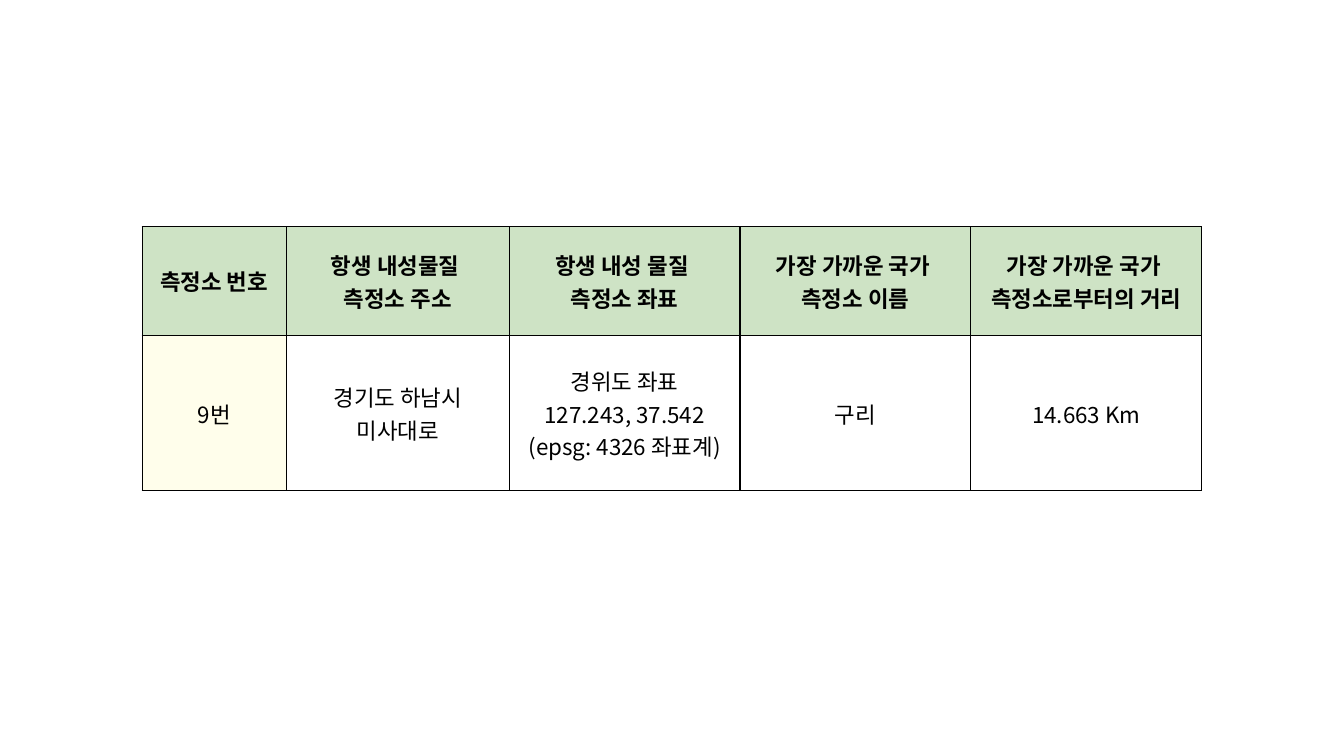
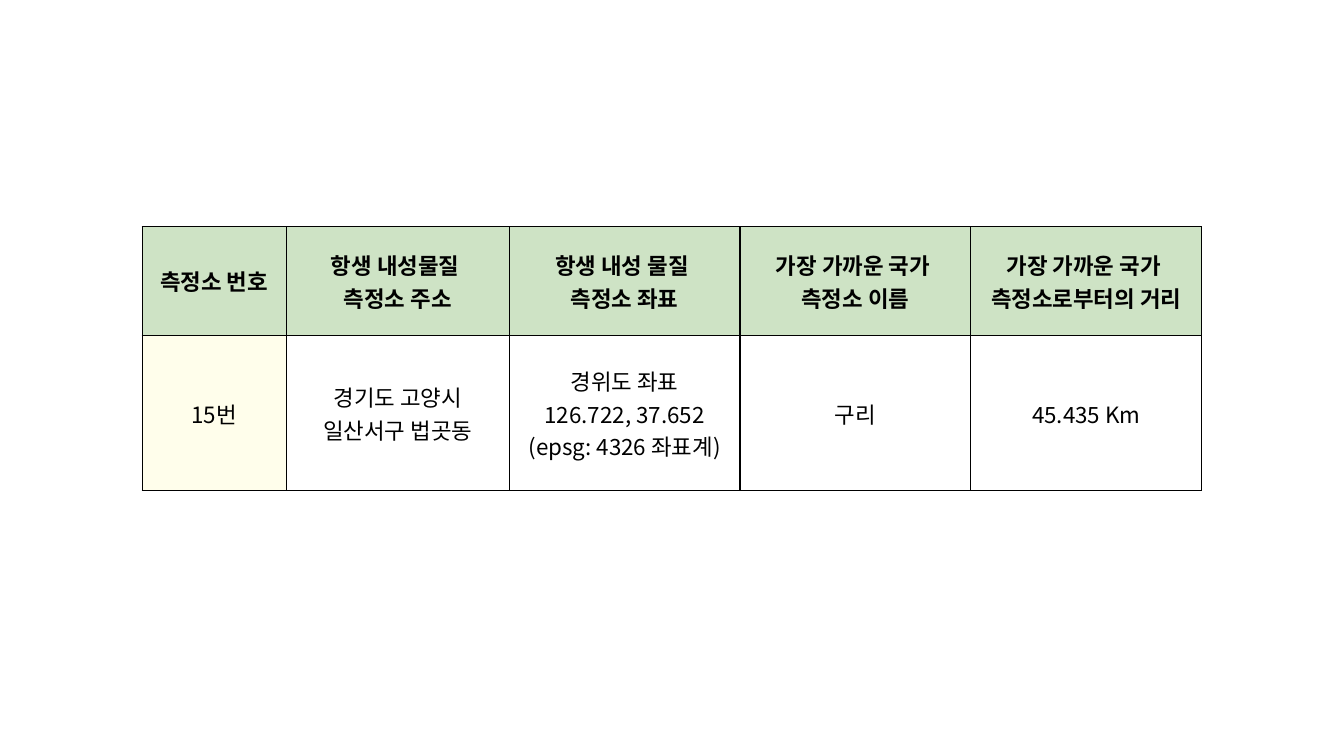
from dataclasses import dataclass

from lxml import etree
from pptx import Presentation
from pptx.dml.color import RGBColor
from pptx.enum.text import MSO_ANCHOR, PP_ALIGN
from pptx.oxml.ns import qn
from pptx.util import Inches, Pt

MIDDLE = MSO_ANCHOR.MIDDLE
CENTER = PP_ALIGN.CENTER
BLANK_LAYOUT = 6
BORDER_TAGS = ("a:lnL", "a:lnR", "a:lnT", "a:lnB")

TABLE_LEFT, TABLE_TOP = 1.41, 2.25
COLUMN_WIDTHS = (1.43, 2.21, 2.29, 2.29, 2.29)
ROW_HEIGHTS = (1.08, 1.54)

HEADINGS = (
    "측정소 번호",
    "항생 내성물질 \n측정소 주소",
    "항생 내성 물질 \n측정소 좌표",
    "가장 가까운 국가 \n측정소 이름",
    "가장 가까운 국가 \n측정소로부터의 거리",
)

# Number, address, coordinates, nearest national station, distance
STATIONS = (
    ("9번", "경기도 하남시 미사대로", "127.243, 37.542", "구리", "14.663 Km"),
    ("15번", "경기도 고양시 일산서구 법곳동", "126.722, 37.652", "구리", "45.435 Km"),
)


@dataclass(frozen=True)
class Theme:
    """Colours, font and sizes shared by the slides."""

    background: str = "FFFFFF"
    text: str = "000000"
    border: str = "000000"
    heading_fill: str = "CEE3C5"
    number_fill: str = "FFFEEB"
    font: str = "Noto Sans CJK KR"
    text_size: float = 16
    border_width: float = 1


class Deck:
    """Holds the theme, the presentation and the current slide."""

    def __init__(self, theme):
        """Start a widescreen presentation."""
        self.theme = theme
        self.presentation = Presentation()
        self.presentation.slide_width = Inches(13.33)
        self.presentation.slide_height = Inches(7.5)
        self.slide = None

    def add_slide(self):
        """Add a blank slide and make it current."""
        layout = self.presentation.slide_layouts[BLANK_LAYOUT]
        self.slide = self.presentation.slides.add_slide(layout)
        fill = self.slide.background.fill
        fill.solid()
        fill.fore_color.rgb = RGBColor.from_string(self.theme.background)

    def add_station_table(self, station):
        """Draw the heading row and the row of one station."""
        number, address, coordinates, nearest, distance = station
        position = f"경위도 좌표\n{coordinates} (epsg: 4326 좌표계)"
        rows = (HEADINGS, (number, address, position, nearest, distance))
        table = self.slide.shapes.add_table(
            len(rows), len(HEADINGS), Inches(TABLE_LEFT), Inches(TABLE_TOP),
            Inches(sum(COLUMN_WIDTHS)), Inches(sum(ROW_HEIGHTS)),
        ).table
        for column, width in zip(table.columns, COLUMN_WIDTHS):
            column.width = Inches(width)
        for row, height in zip(table.rows, ROW_HEIGHTS):
            row.height = Inches(height)
        for row_index, texts in enumerate(rows):
            is_heading = row_index == 0
            for column_index, text in enumerate(texts):
                cell = table.cell(row_index, column_index)
                self.write_cell(cell, text, is_heading)
                self.add_borders(cell)
                if is_heading:
                    self.fill_cell(cell, self.theme.heading_fill)
                elif column_index == 0:
                    self.fill_cell(cell, self.theme.number_fill)
                else:
                    cell.fill.background()

    def write_cell(self, cell, text, is_heading):
        """Write centred text; headings break lines, values break paragraphs."""
        cell.vertical_anchor = MIDDLE
        if is_heading:
            cell.text_frame.paragraphs[0].text = text
        else:
            cell.text_frame.text = text
        font_format = {
            "name": self.theme.font,
            "size": Pt(self.theme.text_size),
            "bold": is_heading,
        }
        for paragraph in cell.text_frame.paragraphs:
            paragraph.alignment = CENTER
            for run in paragraph.runs:
                for name, value in font_format.items():
                    setattr(run.font, name, value)
                run.font.color.rgb = RGBColor.from_string(self.theme.text)
                properties = run._r.get_or_add_rPr()
                etree.SubElement(properties, qn("a:ea"), typeface=self.theme.font)

    def fill_cell(self, cell, colour):
        """Give a cell a plain fill."""
        cell.fill.solid()
        cell.fill.fore_color.rgb = RGBColor.from_string(colour)

    def add_borders(self, cell):
        """Draw the four borders of a cell, before its fill is set."""
        properties = cell._tc.get_or_add_tcPr()
        width = str(Pt(self.theme.border_width))
        for tag in BORDER_TAGS:
            line = etree.SubElement(properties, qn(tag), w=width)
            fill = etree.SubElement(line, qn("a:solidFill"))
            etree.SubElement(fill, qn("a:srgbClr"), val=self.theme.border)


def main():
    """Build one slide for each station."""
    deck = Deck(Theme())
    for station in STATIONS:
        deck.add_slide()
        deck.add_station_table(station)
    deck.presentation.save("out.pptx")


main()
